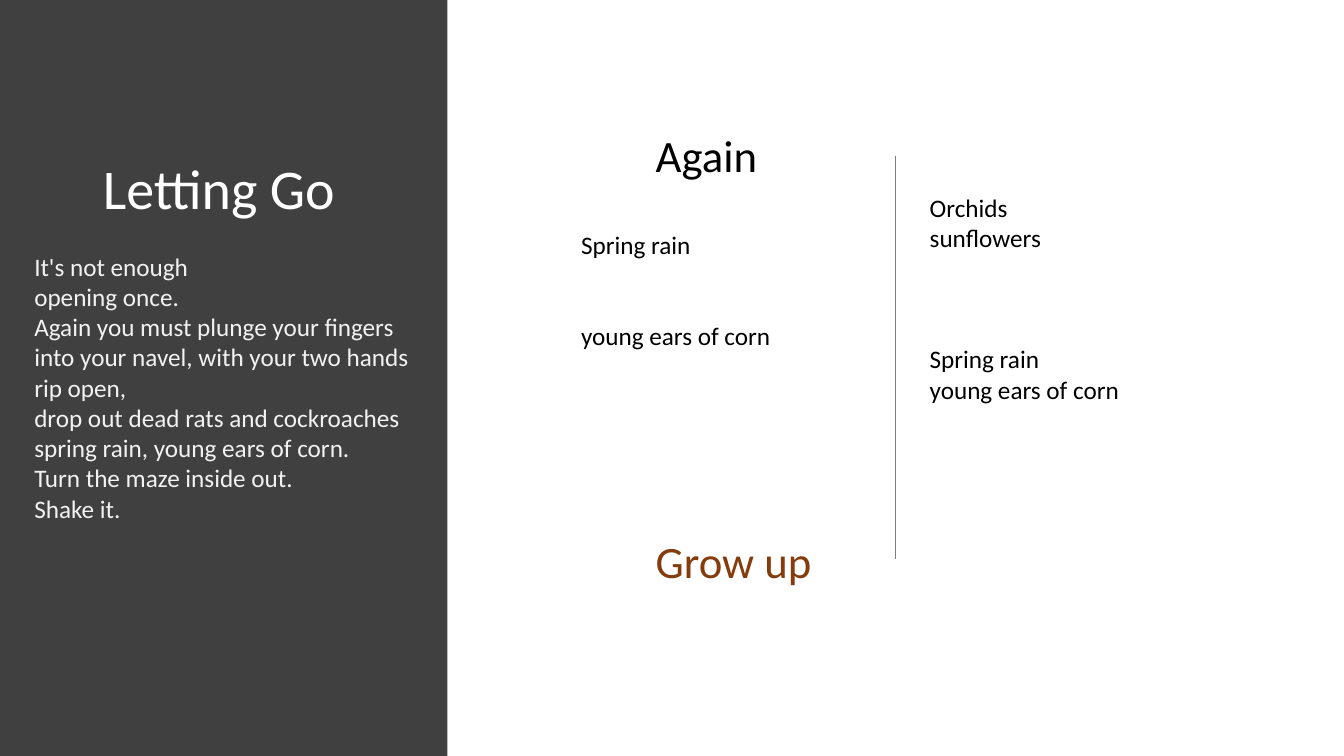
import dataclasses

import pptx
import pptx.dml.color
import pptx.enum.shapes
import pptx.enum.text
import pptx.oxml
import pptx.oxml.ns
import pptx.util


@dataclasses.dataclass(frozen=True)
class Theme:
    font: str = "Calibri"
    panel: str = "404040"
    title: str = "FFFFFF"
    poem: str = "F2F2F2"
    ink: str = "000000"
    accent: str = "843C0C"
    rule: str = "7F7F7F"
    title_size: int = 40
    heading_size: int = 32
    body_size: int = 18
    line_height: float = 1.2


THEME = Theme()
WIDTH = pptx.util.Inches(13.34)
HEIGHT = pptx.util.Inches(7.5)
COLUMN = WIDTH / 100
ROW = HEIGHT / 100


@dataclasses.dataclass(frozen=True)
class Box:
    left: float
    top: float
    width: float
    height: float

    def inside(self, left, top, width, height):
        return Box(self.left + left, self.top + top, width, height)

    def emu(self):
        return (round(self.left * COLUMN), round(self.top * ROW),
                round(self.width * COLUMN), round(self.height * ROW))


def rgb(value):
    return pptx.dml.color.RGBColor.from_string(value)


def place(sp, box):
    sp.left, sp.top, sp.width, sp.height = box.emu()


def write(sp, text, size=THEME.body_size, color=THEME.ink, spacing=1.0, gaps=None):
    tf = sp.text_frame
    tf.word_wrap = True
    tf.auto_size = pptx.enum.text.MSO_AUTO_SIZE.NONE
    tf.vertical_anchor = pptx.enum.text.MSO_ANCHOR.TOP
    for i, line in enumerate(text.splitlines()):
        p = tf.paragraphs[0] if i == 0 else tf.add_paragraph()
        p.alignment = pptx.enum.text.PP_ALIGN.LEFT
        p.line_spacing = spacing
        empty_lines = (gaps or {}).get(i, 0)
        p.space_before = pptx.util.Pt(empty_lines * size * THEME.line_height)
        r = p.add_run()
        r.text = line
        r.font.name = THEME.font
        r.font.size = pptx.util.Pt(size)
        r.font.color.rgb = rgb(color)


def remove_bullets(sp):
    for p in sp.text_frame.paragraphs:
        pPr = p._p.get_or_add_pPr()
        pPr.set("marL", "0")
        pPr.set("indent", "0")
        pPr.append(pptx.oxml.parse_xml(
            f"<a:buNone {pptx.oxml.ns.nsdecls('a')}/>"))


def add_text(s, box, text, **style):
    write(s.shapes.add_textbox(*box.emu()), text, **style)


def add_poem_panel(s, box):
    panel = s.shapes.add_shape(pptx.enum.shapes.MSO_SHAPE.RECTANGLE, *box.emu())
    panel.shadow.inherit = False
    panel.fill.solid()
    panel.fill.fore_color.rgb = rgb(THEME.panel)
    panel.line.fill.background()
    s.shapes._spTree.insert(2, panel._element)

    title = s.shapes.title
    place(title, box.inside(6.9, 20.67, 23.76, 63.6))
    write(title, "Letting Go", size=THEME.title_size, color=THEME.title, spacing=0.9)

    poem = s.placeholders[1]
    place(poem, box.inside(1.8, 32.53, 29.54, 37.33))
    write(poem, """It's not enough
opening once.
Again you must plunge your fingers
into your navel, with your two hands
rip open,
drop out dead rats and cockroaches
spring rain, young ears of corn.
Turn the maze inside out.
Shake it.""", color=THEME.poem)
    remove_bullets(poem)


def add_divider(s, box):
    x, top, _, height = box.emu()
    line = s.shapes.add_connector(
        pptx.enum.shapes.MSO_CONNECTOR.STRAIGHT, x, top, x, top + height)
    line.line.color.rgb = rgb(THEME.rule)
    line.line.width = pptx.util.Pt(1)
    line._element.spPr.append(pptx.oxml.parse_xml(
        f"<a:effectLst {pptx.oxml.ns.nsdecls('a')}/>"))


def add_phrases(s, box):
    add_divider(s, box.inside(box.width / 2, 20.67, 0, 53.33))
    add_text(s, box.inside(14.75, 16.27, 38.16, 8.53), "Again",
             size=THEME.heading_size)
    add_text(s, box.inside(9.2, 29.73, 24.14, 17.33),
             "Spring rain\nyoung ears of corn", gaps={1: 2})
    add_text(s, box.inside(35.14, 24.8, 24.66, 41.33),
             "Orchids\nsunflowers\nSpring rain\nyoung ears of corn", gaps={2: 3})
    add_text(s, box.inside(14.75, 70, 25.11, 8.53), "Grow up",
             size=THEME.heading_size, color=THEME.accent)


def main():
    prs = pptx.Presentation()
    prs.slide_width, prs.slide_height = WIDTH, HEIGHT
    s = prs.slides.add_slide(prs.slide_layouts[1])
    add_poem_panel(s, Box(0, 0, 33.3, 100))
    add_phrases(s, Box(33.3, 0, 66.7, 100))
    prs.save("out.pptx")


if __name__ == "__main__":
    main()
